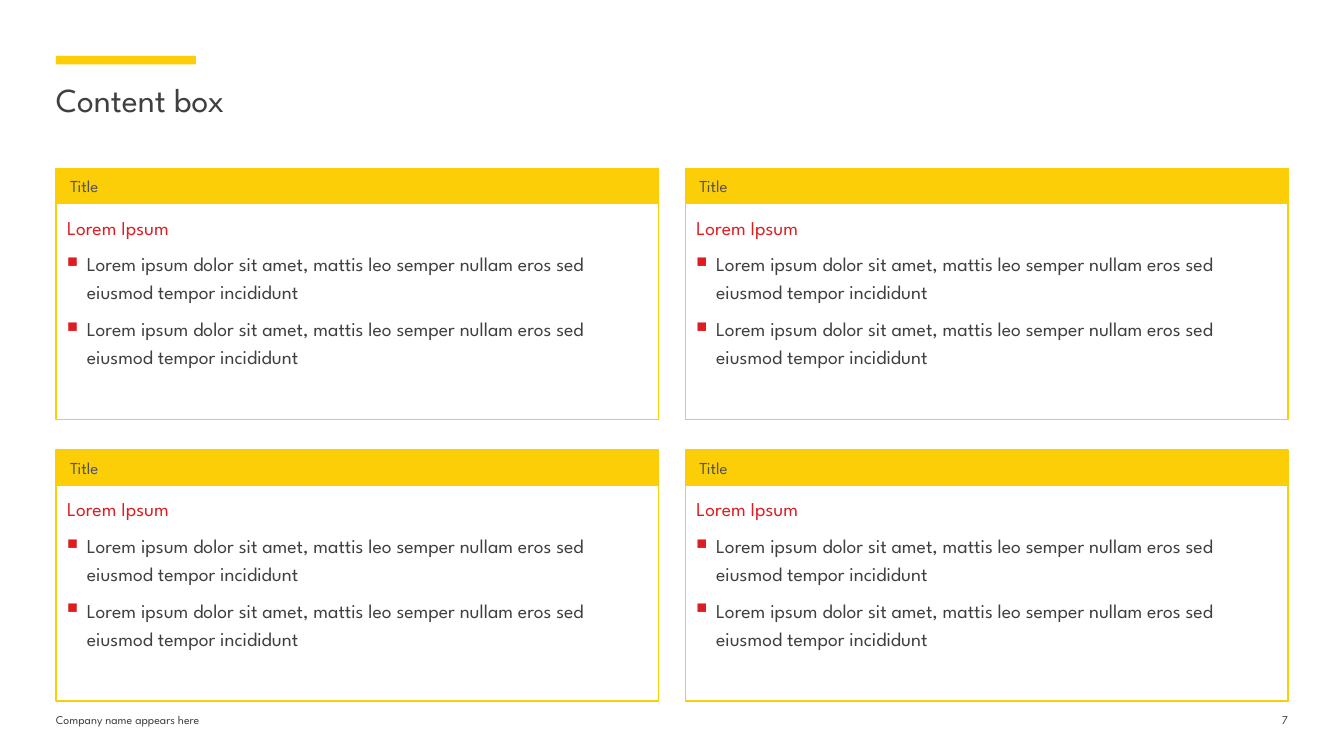
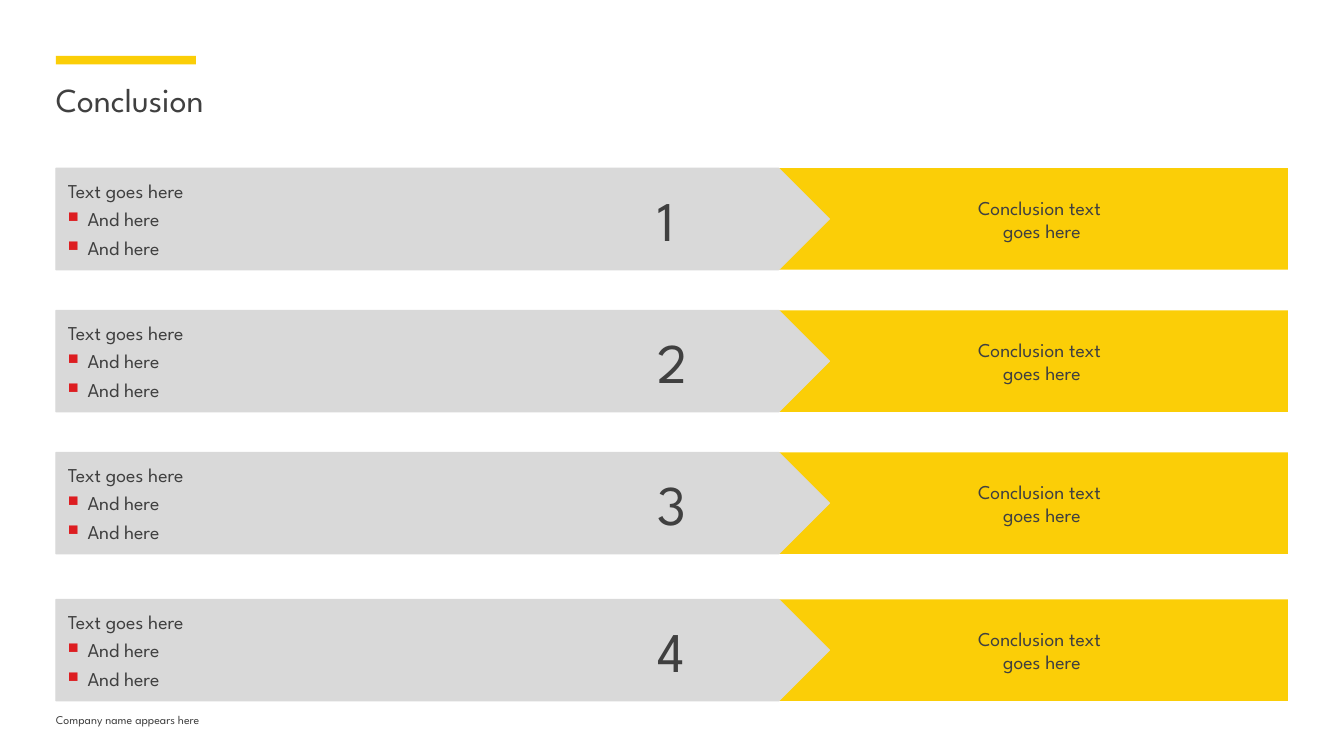
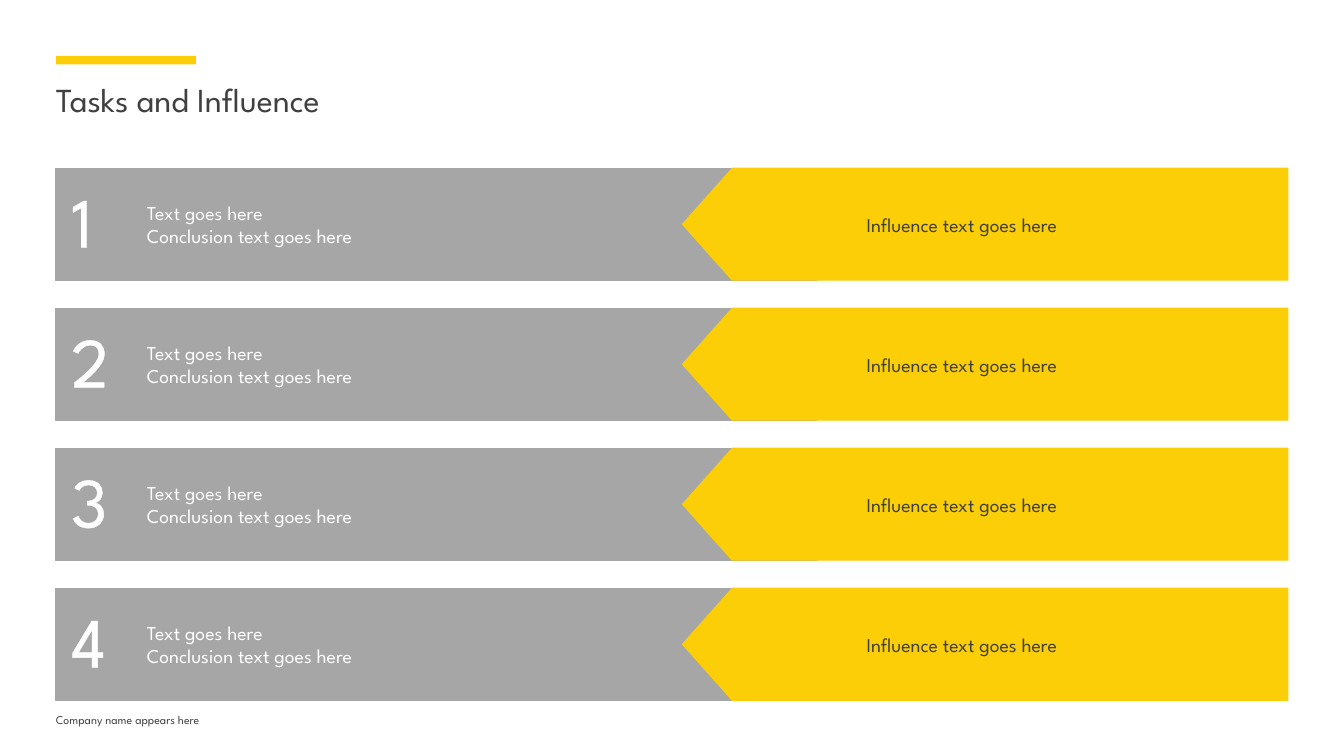
from dataclasses import dataclass

from lxml.etree import SubElement
from pptx import Presentation
from pptx.dml.color import RGBColor
from pptx.enum.shapes import MSO_SHAPE
from pptx.enum.text import MSO_ANCHOR, PP_ALIGN
from pptx.oxml.ns import qn
from pptx.util import Pt


@dataclass(frozen=True)
class Theme:
    """Colours, type sizes and page measures of the deck."""
    font: str = "League Spartan"
    yellow: str = "FBCE07"
    red: str = "DD1D21"
    dark: str = "404040"
    label: str = "535353"
    light: str = "D9D9D9"
    grey: str = "A6A6A6"
    white: str = "FFFFFF"
    footer_size: float = 8.5
    label_size: float = 12
    body_size: float = 14
    title_size: float = 24
    step_size: float = 40
    task_size: float = 50
    left: float = 40
    top: float = 120.2
    width: float = 880


@dataclass(frozen=True)
class Para:
    """One paragraph and its formatting."""
    text: str
    size: float = Theme.body_size
    color: str = Theme.dark
    align: PP_ALIGN = PP_ALIGN.LEFT
    bullet: bool = False
    indent: float = 0
    spacing: float = 1
    after: float = 0


T = Theme()
LOREM = "Lorem ipsum dolor sit amet, mattis leo semper nullam eros sed eiusmod tempor incididunt"


def rgb(color):
    """Turn a hex string into a colour."""
    return RGBColor.from_string(color)


def set_margin(p, left, hanging=0):
    """Set the left margin and hanging indent of a paragraph."""
    pPr = p._p.get_or_add_pPr()
    pPr.set("marL", str(Pt(left)))
    pPr.set("indent", str(-Pt(hanging)))
    return pPr


def add_bullet(p):
    """Give a paragraph a small red square bullet."""
    pPr = set_margin(p, 14, 14)
    SubElement(SubElement(pPr, qn("a:buClr")), qn("a:srgbClr")).set("val", T.red)
    SubElement(pPr, qn("a:buSzPct")).set("val", "75000")
    SubElement(pPr, qn("a:buChar")).set("char", "■")


def write(sp, paras, insets=(0, 0, 0, 0), anchor=MSO_ANCHOR.MIDDLE):
    """Fill the text frame of a shape with paragraphs."""
    tf = sp.text_frame
    tf.word_wrap = True
    tf.vertical_anchor = anchor
    tf.margin_left, tf.margin_top, tf.margin_right, tf.margin_bottom = map(Pt, insets)
    for i, para in enumerate(paras):
        p = tf.add_paragraph() if i else tf.paragraphs[0]
        p.text = para.text
        p.alignment = para.align
        if para.bullet:
            add_bullet(p)
        elif para.indent:
            set_margin(p, para.indent)
        p.line_spacing = para.spacing
        p.space_after = Pt(para.after)
        for r in p.runs:
            r.font.name = T.font
            r.font.size = Pt(para.size)
            r.font.color.rgb = rgb(para.color)


def add_panel(slide, kind, box, fill=None, line=None, weight=0.75):
    """Add a flat preset shape."""
    sp = slide.shapes.add_shape(kind, *map(Pt, box))
    sp.shadow.inherit = False
    if fill:
        sp.fill.solid()
        sp.fill.fore_color.rgb = rgb(fill)
    else:
        sp.fill.background()
    if line:
        sp.line.color.rgb = rgb(line)
        sp.line.width = Pt(weight)
    else:
        sp.line.fill.background()
    return sp


def add_text(slide, box, para, insets=(0, 0, 0, 0), anchor=MSO_ANCHOR.TOP):
    """Add a text box with one paragraph."""
    sp = slide.shapes.add_textbox(*map(Pt, box))
    write(sp, [para], insets, anchor)
    return sp


def add_page(prs, title, number=None):
    """Add a slide with accent bar, title and footer."""
    slide = prs.slides.add_slide(prs.slide_layouts[6])
    add_panel(slide, MSO_SHAPE.RECTANGLE, (T.left, 40, 100, 6), T.yellow)
    add_text(slide, (T.left, 56, T.width, 59), Para(title, T.title_size))
    add_text(slide, (T.left, 509, 264, 19), Para("Company name appears here", T.footer_size))
    if number:
        add_text(slide, (T.left + T.width - 28, 509, 28, 19),
                 Para(number, T.footer_size, align=PP_ALIGN.RIGHT))
    return slide


def add_card(slide, x, y, w, h):
    """Draw a content card: yellow header over an outlined body."""
    header = 25.4
    sp = add_panel(slide, MSO_SHAPE.RECTANGLE, (x, y, w, header), T.yellow, T.yellow, 1)
    write(sp, [Para("Title", T.label_size, T.label)], (10, 3.6, 5, 3.6))
    sp = add_panel(slide, MSO_SHAPE.RECTANGLE, (x, y + header, w, h - header),
                   line=T.yellow, weight=1)
    item = Para(LOREM, bullet=True, spacing=1.2, after=6)
    head = Para("Lorem Ipsum", color=T.red, spacing=1.2, after=6)
    write(sp, [head, item, item], (8, 5, 8, 1), MSO_ANCHOR.TOP)


def add_conclusion(slide, x, y, w, h, number):
    """Draw a grey arrow with its number, pointing to a yellow conclusion."""
    sp = add_panel(slide, MSO_SHAPE.RECTANGLE, (x + 438, y, w - 438, h), T.yellow)
    write(sp, [Para("Conclusion text \vgoes here", align=PP_ALIGN.CENTER, indent=70.5)],
          (25, 0, 5, 0))
    sp = add_panel(slide, MSO_SHAPE.PENTAGON, (x, y, 552.5, h), T.light, T.light)
    sp.adjustments[0] = 0.5
    item = Para("And here", bullet=True, spacing=1.2, after=0.6)
    write(sp, [Para("Text goes here"), item, item], (8.5, 0, 60, 0))
    add_text(slide, (x + 424.5, y, 79, h), Para(str(number), T.step_size),
             (5, 0, 0, 0), MSO_ANCHOR.MIDDLE)


def add_outline(r, color):
    """Outline the letters of a run."""
    ln = SubElement(r.font._element, qn("a:ln"))
    ln.set("w", str(Pt(0.75)))
    SubElement(SubElement(ln, qn("a:solidFill")), qn("a:srgbClr")).set("val", color)
    r.font._element.insert(0, ln)


def add_task(slide, x, y, w, h, number):
    """Draw a numbered grey task with a yellow influence arrow pointing back."""
    sp = add_panel(slide, MSO_SHAPE.RECTANGLE, (x, y, 543, h), T.grey, T.grey)
    write(sp, [Para(text, color=T.white) for text in
               ("Text goes here", "Conclusion text goes here")], (65, 0, 84, 0))
    sp = add_text(slide, (x + 11, y + 2, 60, 69),
                  Para(str(number), T.task_size, T.white), anchor=MSO_ANCHOR.MIDDLE)
    add_outline(sp.text_frame.paragraphs[0].runs[0], T.white)
    sp = add_panel(slide, MSO_SHAPE.PENTAGON, (x + 447.5, y, w - 447.5, h), T.yellow, T.yellow)
    sp.adjustments[0] = 0.445
    sp._element.spPr.find(qn("a:xfrm")).set("flipH", "1")
    write(sp, [Para("Influence text goes here", align=PP_ALIGN.CENTER)], (0, 0, 51, 0))


def build_content(prs):
    """Build the slide with a grid of four cards."""
    slide = add_page(prs, "Content box", "7")
    gap, pitch = 19, 201.2
    w = (T.width - gap) / 2
    for i in range(4):
        row, col = divmod(i, 2)
        add_card(slide, T.left + col * (w + gap), T.top + row * pitch, w, 179.5)


def build_conclusion(prs):
    """Build the slide with four conclusions."""
    slide = add_page(prs, "Conclusion")
    for i, offset in enumerate((0, 101.5, 203, 308)):
        add_conclusion(slide, T.left, T.top + offset, T.width, 72.5, i + 1)


def build_tasks(prs):
    """Build the slide with four tasks and their influence."""
    slide = add_page(prs, "Tasks and Influence")
    for i in range(4):
        add_task(slide, T.left, T.top + i * 100, T.width, 80, i + 1)


def main():
    """Build and save the deck."""
    prs = Presentation()
    prs.slide_width, prs.slide_height = Pt(960), Pt(540)
    build_content(prs)
    build_conclusion(prs)
    build_tasks(prs)
    prs.save("out.pptx")


if __name__ == "__main__":
    main()
